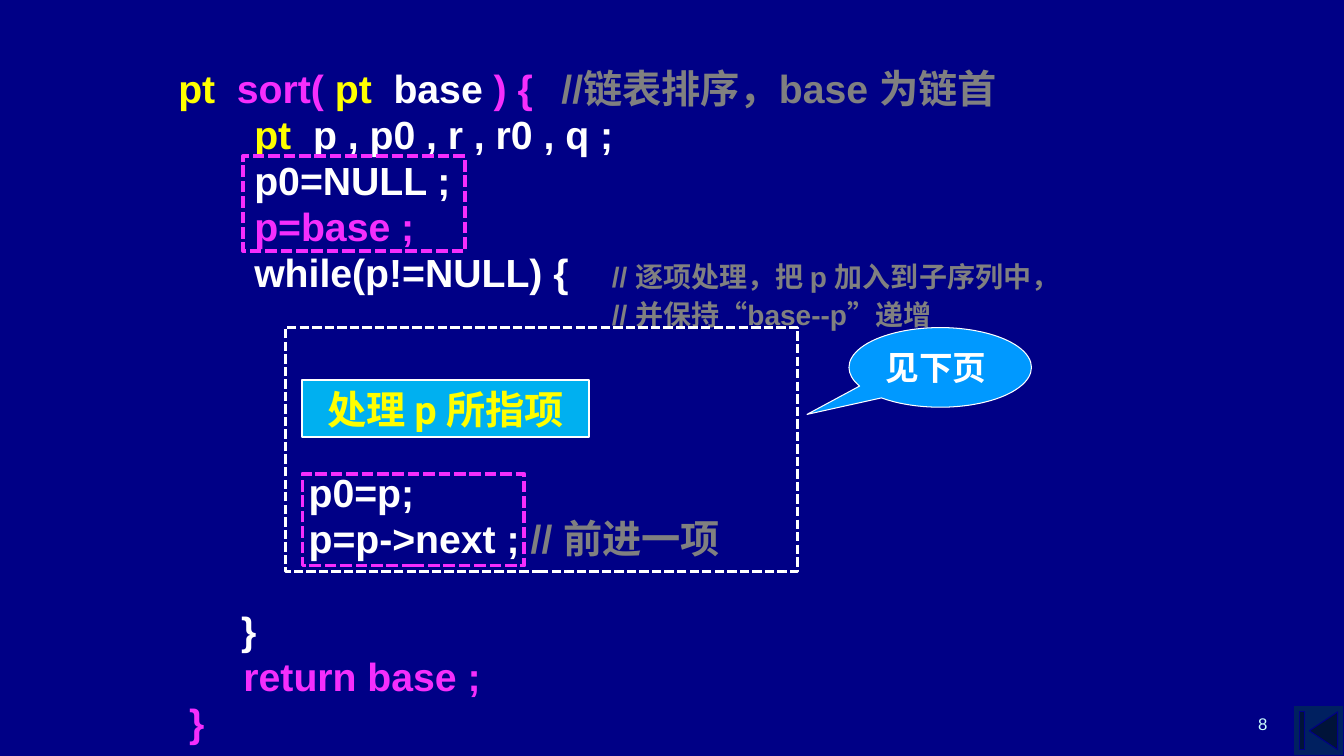
from pptx import Presentation
from pptx import util as u
from pptx.dml.color import RGBColor
from pptx.enum import dml, shapes, text

COLORS = {
    "navy": "000086", "button": "002060", "number": "CCFFFF",
    "yellow": "FFFF00", "pink": "F52EFC", "white": "FFFFFF",
    "grey": "808080", "cyan": "00B0F0", "blue": "0099FF",
}
LINE_PITCH = 32.86  # points from one code line to the next
SPACE = 6
HANG = 0.3
COMMENT_LEFT = 4.3

# Each line: runs of (text, colour, size), space before, left margin, first-line indent
def line(*runs, skipped=0, left=HANG, first=-HANG):
    return runs, SPACE + skipped * LINE_PITCH, left, first


CODE = [
    line(("pt  ", "yellow", 28), ("sort( ", "pink", 28), ("pt", "yellow", 28),
         ("  base ", "white", 28), (") {\t", "pink", 28),
         ("//链表排序，base 为链首", "grey", 28)),
    line(("       pt  ", "yellow", 28), ("p , p0 , r , r0 , q ;", "white", 28)),
    line(("       p0=NULL ;", "white", 28)),
    line(("       p=base ;", "pink", 28)),
    line(("       while(p!=NULL) {\t", "white", 28),
         ("// 逐项处理，把 p 加入到子序列中，", "grey", 20)),
    line(("// 并保持“base--p”递增", "grey", 20), left=COMMENT_LEFT, first=0),
    line(("            p0=p;", "white", 28), skipped=3),
    line(("            p=p->next ;", "white", 28), (" // 前进一项", "grey", 28)),
    line(("\t   }", "white", 28), skipped=1),
    line(("      return base ;", "pink", 28)),
    line((" }", "pink", 28)),
]


class SlideBuilder:
    def __init__(self, presentation):
        self.slide = presentation.slides.add_slide(presentation.slide_layouts[6])
        background = self.slide.background.fill
        background.solid()
        background.fore_color.rgb = self.color("navy")

    def color(self, name):
        return RGBColor.from_string(COLORS[name])

    def style(self, font, color, size, name="Arial", bold=True):
        font.name = name
        font.size = u.Pt(size)
        font.bold = bold
        font.color.rgb = self.color(color)

    def shape(self, kind, box, line_color, width, fill=None, dashed=False):
        shape = self.slide.shapes.add_shape(kind, *map(u.Inches, box))
        shape.shadow.inherit = False
        if fill:
            shape.fill.solid()
            shape.fill.fore_color.rgb = self.color(fill)
        else:
            shape.fill.background()
        shape.line.color.rgb = self.color(line_color)
        shape.line.width = u.Pt(width)
        if dashed:
            shape.line.dash_style = dml.MSO_LINE.SQUARE_DOT
        return shape

    def label(self, shape, words, color, size, align, name="Arial", wrap=True):
        frame = shape.text_frame
        frame.text = words
        frame.word_wrap = wrap
        frame.vertical_anchor = text.MSO_ANCHOR.MIDDLE
        paragraph = frame.paragraphs[0]
        paragraph.alignment = align
        self.style(paragraph.runs[0].font, color, size, name)

    def text_box(self, box):
        frame = self.slide.shapes.add_textbox(*map(u.Inches, box)).text_frame
        frame.word_wrap = True
        return frame

    def page_number(self, box, number):
        frame = self.text_box(box)
        frame.vertical_anchor = text.MSO_ANCHOR.BOTTOM
        frame.text = number
        paragraph = frame.paragraphs[0]
        paragraph.alignment = text.PP_ALIGN.RIGHT
        self.style(paragraph.runs[0].font, "number", 12, bold=False)

    def code(self, box, lines):
        frame = self.text_box(box)
        for index, (runs, before, left, first) in enumerate(lines):
            paragraph = frame.add_paragraph() if index else frame.paragraphs[0]
            paragraph.line_spacing = 0.8
            paragraph.space_before = u.Pt(before if index else 0)
            properties = paragraph._p.get_or_add_pPr()
            properties.set("marL", str(u.Inches(left)))
            properties.set("indent", str(u.Inches(first)))
            for words, color, size in runs:
                run = paragraph.add_run()
                run.text = words
                self.style(run.font, color, size)


def main():
    presentation = Presentation()
    presentation.slide_width = u.Inches(13.33)
    presentation.slide_height = u.Inches(7.5)
    builder = SlideBuilder(presentation)
    kinds = shapes.MSO_SHAPE

    # Navigation button and page number
    builder.shape(kinds.ACTION_BUTTON_BEGINNING, (12.83, 7, 0.5, 0.5), "navy", 0.75, "button")
    builder.page_number((9.56, 6.83, 3.11, 0.5), "8")

    # Code listing
    builder.code((1.67, 0.68, 10.2, 6.77), CODE)

    # Step inside the loop
    step = builder.shape(kinds.RECTANGLE, (3, 3.77, 2.84, 0.57), "white", 1.5, "cyan")
    builder.label(step, "处理 p 所指项", "yellow", 28, text.PP_ALIGN.CENTER, "Roboto")

    # Dashed frames around code blocks
    for box, color, width in [
        ((2.41, 1.55, 2.2, 0.94), "pink", 2.75),
        ((3, 4.7, 2.2, 0.91), "pink", 2.75),
        ((2.83, 3.25, 5.08, 2.42), "white", 2.25),
    ]:
        builder.shape(kinds.RECTANGLE, box, color, width, dashed=True)

    # Callout
    callout = builder.shape(kinds.OVAL_CALLOUT, (8.42, 3.25, 1.81, 0.79), "white", 0.75, "blue")
    callout.adjustments[0] = -0.73
    callout.adjustments[1] = 0.59
    builder.label(callout, "见下页", "white", 24, text.PP_ALIGN.LEFT, wrap=False)

    presentation.save("out.pptx")


if __name__ == "__main__":
    main()
